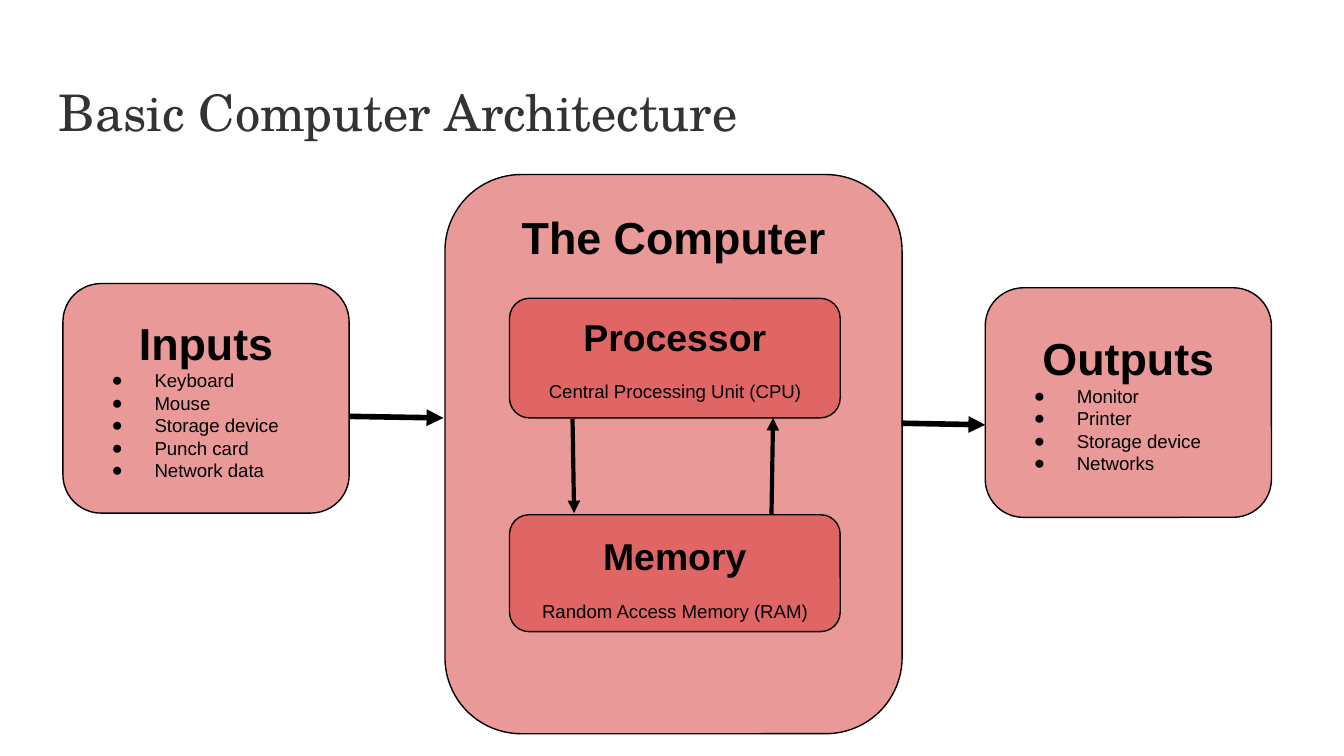
from lxml import etree
from pptx import Presentation
from pptx.dml.color import RGBColor
from pptx.enum.shapes import MSO_CONNECTOR, MSO_SHAPE
from pptx.enum.text import MSO_ANCHOR, PP_ALIGN
from pptx.oxml.ns import qn
from pptx.util import Cm, Pt

ROUNDED = MSO_SHAPE.ROUNDED_RECTANGLE
STRAIGHT = MSO_CONNECTOR.STRAIGHT
TOP, MIDDLE = MSO_ANCHOR.TOP, MSO_ANCHOR.MIDDLE
LEFT, CENTER = PP_ALIGN.LEFT, PP_ALIGN.CENTER

BLACK = RGBColor(0x00, 0x00, 0x00)
TITLE_GREY = RGBColor(0x33, 0x33, 0x33)
LIGHT_RED = RGBColor(0xEA, 0x99, 0x99)
DARK_RED = RGBColor(0xE0, 0x66, 0x66)


class DiagramSlide:
    title_font = "TeX Gyre Schola"
    body_font = "Arial"
    margin = Cm(0.25)
    small = 10

    def __init__(self, slide):
        self.slide = slide

    def set_frame(self, text_frame, anchor):
        text_frame.word_wrap = True
        text_frame.vertical_anchor = anchor
        text_frame.margin_left = text_frame.margin_right = self.margin
        text_frame.margin_top = text_frame.margin_bottom = self.margin

    def add_text(self, paragraph, text, size, align=CENTER, bold=False,
                 font=body_font, color=BLACK):
        paragraph.alignment = align
        run = paragraph.add_run()
        run.text = text
        run.font.name = font
        run.font.size = Pt(size)
        run.font.bold = bold
        run.font.color.rgb = color

    def title(self, text, left, top, width, height):
        shape = self.slide.shapes.title
        shape.left, shape.top = Cm(left), Cm(top)
        shape.width, shape.height = Cm(width), Cm(height)
        self.set_frame(shape.text_frame, MIDDLE)
        self.add_text(shape.text_frame.paragraphs[0], text, 27, LEFT,
                      font=self.title_font, color=TITLE_GREY)

    def box(self, heading, size, left, top, width, height, fill, anchor=MIDDLE):
        shape = self.slide.shapes.add_shape(
            ROUNDED, Cm(left), Cm(top), Cm(width), Cm(height))
        shape.shadow.inherit = False
        shape.fill.solid()
        shape.fill.fore_color.rgb = fill
        shape.line.color.rgb = BLACK
        shape.line.width = Pt(0.75)
        self.set_frame(shape.text_frame, anchor)
        self.add_text(shape.text_frame.paragraphs[0], heading, size, bold=True)
        return shape.text_frame

    def list_box(self, heading, items, left, top):
        text_frame = self.box(heading, 24, left, top, 5.41, 4.34, LIGHT_RED)
        for item in items:
            paragraph = text_frame.add_paragraph()
            self.bullet(paragraph)
            self.add_text(paragraph, item, self.small, LEFT)

    def bullet(self, paragraph):
        properties = paragraph._p.get_or_add_pPr()
        properties.set("marL", str(Cm(1.27)))
        properties.set("indent", str(Cm(-0.81)))
        color = etree.SubElement(properties, qn("a:buClr"))
        etree.SubElement(color, qn("a:srgbClr"), val=str(BLACK))
        etree.SubElement(properties, qn("a:buFont"), typeface=self.body_font)
        etree.SubElement(properties, qn("a:buChar"), char="●")

    def part_box(self, heading, caption, top, height, anchor):
        text_frame = self.box(heading, 20, 9.63, top, 6.25, height, DARK_RED, anchor)
        paragraph = text_frame.add_paragraph()
        paragraph.space_before = Pt(11.5)
        self.add_text(paragraph, caption, self.small)

    def arrow(self, start, end, width):
        connector = self.slide.shapes.add_connector(
            STRAIGHT, *(Cm(value) for value in start + end))
        connector.line.color.rgb = BLACK
        connector.line.width = Pt(width)
        etree.SubElement(connector.line._get_or_add_ln(), qn("a:tailEnd"),
                         type="triangle")
        etree.SubElement(connector._element.spPr, qn("a:effectLst"))


def main():
    presentation = Presentation()
    presentation.slide_width, presentation.slide_height = Cm(25.4), Cm(14.29)
    layout = presentation.slide_layouts.get_by_name("Title Only")
    diagram = DiagramSlide(presentation.slides.add_slide(layout))

    diagram.title("Basic Computer Architecture", 0.86, 1.24, 23.67, 1.73)

    # Inputs and outputs
    diagram.list_box("Inputs", ["Keyboard", "Mouse", "Storage device",
                                "Punch card", "Network data"], 1.19, 5.36)
    diagram.list_box("Outputs", ["Monitor", "Printer", "Storage device",
                                 "Networks"], 18.62, 5.44)

    # Computer and its parts
    diagram.box("The Computer", 24, 8.41, 3.3, 8.64, 10.57, LIGHT_RED, TOP)
    diagram.part_box("Processor", "Central Processing Unit (CPU)", 5.64, 2.26, MIDDLE)
    diagram.part_box("Memory", "Random Access Memory (RAM)", 9.73, 2.21, TOP)

    # Data flow through the computer
    diagram.arrow((6.6, 7.87), (8.38, 7.9), 3)
    diagram.arrow((17.04, 8), (18.62, 8.03), 3)

    # Exchange between processor and memory
    diagram.arrow((10.82, 7.92), (10.85, 9.7), 2.25)
    diagram.arrow((14.58, 9.73), (14.61, 7.9), 2.25)

    presentation.save("out.pptx")


if __name__ == "__main__":
    main()
